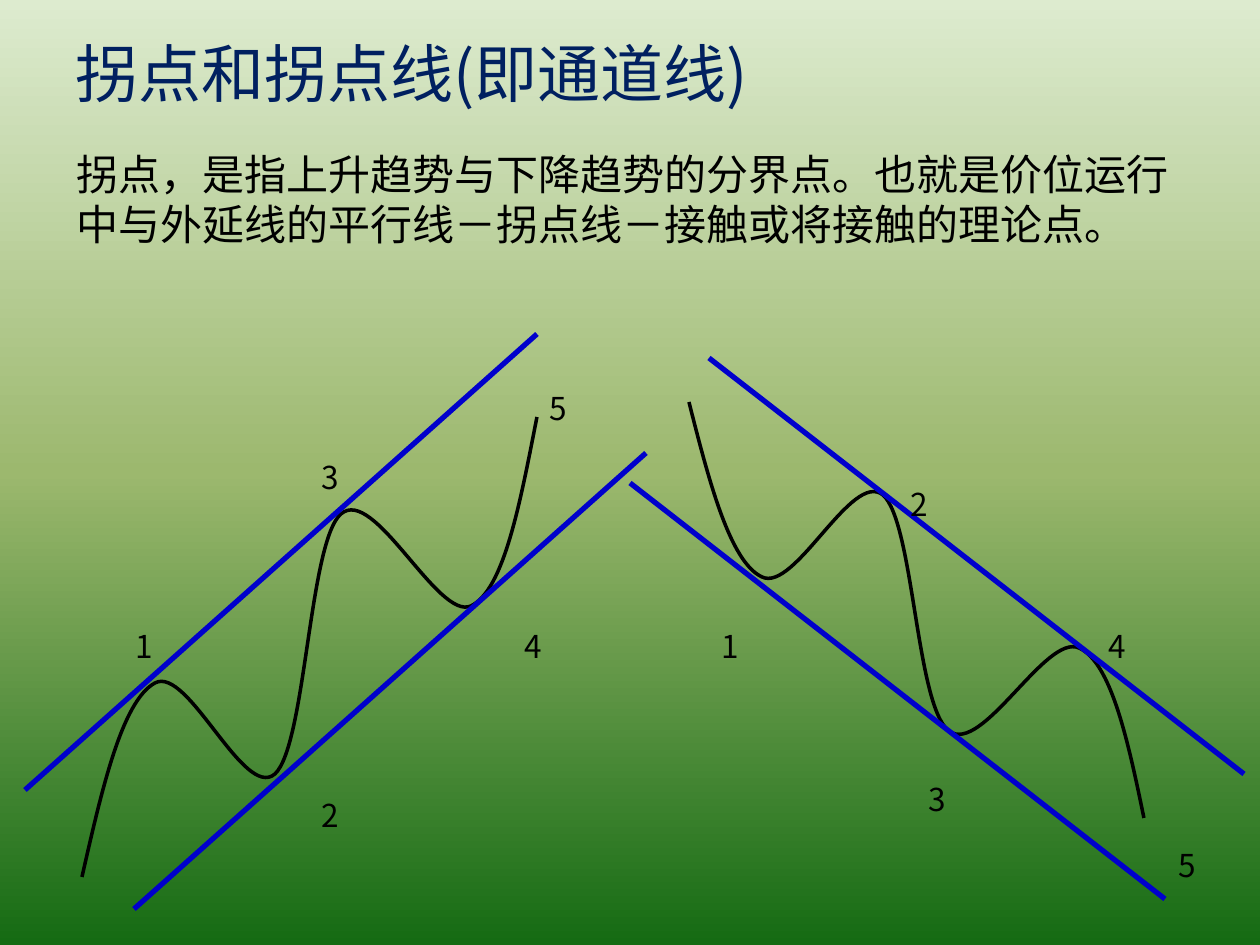
from copy import deepcopy

from lxml.etree import SubElement
from pptx import Presentation
from pptx.dml.color import RGBColor
from pptx.enum.shapes import MSO_CONNECTOR
from pptx.enum.text import MSO_ANCHOR, MSO_AUTO_SIZE
from pptx.oxml.ns import qn
from pptx.util import Pt

SCALE = 914400 / 126
FONT = "Noto Sans CJK SC"
BLACK, NAVY, BLUE = "000000", "002060", "0000CC"

# Waves are a start point, then three points for each Bezier segment.
RISING = {
    "wave": [(57, 543), (77, 455), (97, 367), (130, 349), (163, 331), (219, 467),
             (250, 440), (281, 411), (284, 208), (316, 180), (349, 151), (413, 287),
             (446, 272), (479, 256), (495, 170), (512, 83)],
    "line": [(0, 456), (512, 0)],
    "shift": (109, 119),
    "labels": [(98, 287), (284, 456), (284, 118), (487, 287), (512, 49)],
}
FALLING = {
    "wave": [(59, 44), (79, 123), (100, 204), (132, 219), (165, 235), (222, 112),
             (253, 137), (284, 164), (286, 348), (319, 373), (352, 398), (416, 275),
             (449, 290), (481, 304), (498, 382), (514, 460)],
    "line": [(79, 0), (614, 416)],
    "shift": (-79, 125),
    "labels": [(79, 263), (268, 121), (286, 416), (466, 263), (536, 482)],
}


def px(length):
    return round(length * SCALE)


def color(value):
    return RGBColor.from_string(value)


def paint_background(page, stops):
    fill = page.background.fill
    fill.gradient()
    fill.gradient_angle = 270
    stop_list = page.element.find(".//" + qn("a:gsLst"))
    while len(stop_list) < len(stops):
        stop_list.append(deepcopy(stop_list[-1]))
    for stop, (position, value) in zip(fill.gradient_stops, stops):
        stop.position = position
        stop.color.rgb = color(value)


def add_text(page, box, text, size, value=BLACK, **frame_format):
    frame = page.shapes.add_textbox(*map(px, box)).text_frame
    for name, setting in {"word_wrap": True, **frame_format}.items():
        setattr(frame, name, setting)
    span = frame.paragraphs[0].add_run()
    span.text = text
    for name, setting in {"size": Pt(size), "name": FONT}.items():
        setattr(span.font, name, setting)
    span.font.color.rgb = color(value)
    SubElement(span.font._element, qn("a:ea"), typeface=FONT)


def style_line(shape, value, width):
    shape.line.color.rgb = color(value)
    shape.line.width = Pt(width)


def add_wave(page, points):
    builder = page.shapes.build_freeform(*points[0], scale=SCALE)
    builder.add_line_segments(points[1:], close=False)
    wave = builder.convert_to_shape()
    wave.shadow.inherit = False
    wave.fill.background()
    style_line(wave, BLACK, 2)
    # Turn each three straight segments into one Bezier curve
    outline = wave._element.find(".//" + qn("a:path"))
    segments = outline.findall(qn("a:lnTo"))
    for first in range(0, len(segments), 3):
        curve = SubElement(outline, qn("a:cubicBezTo"))
        for segment in segments[first:first + 3]:
            curve.append(segment[0])
            outline.remove(segment)


def add_channel_line(page, start, end):
    line = page.shapes.add_connector(MSO_CONNECTOR.STRAIGHT, *map(px, start + end))
    style_line(line, BLUE, 3)
    SubElement(line._element.spPr, qn("a:effectLst"))


def add_trend(page, left, top, trend):
    def place(points, shift=(0, 0)):
        return [(left + x + shift[0], top + y + shift[1]) for x, y in points]

    add_wave(page, place(trend["wave"]))
    for shift in ((0, 0), trend["shift"]):
        add_channel_line(page, *place(trend["line"], shift))
    for number, (x, y) in enumerate(place(trend["labels"]), 1):
        add_text(page, (x, y, 41, 50), str(number), 18, word_wrap=False,
                 auto_size=MSO_AUTO_SIZE.SHAPE_TO_FIT_TEXT)


def main():
    deck = Presentation()
    deck.slide_width, deck.slide_height = px(1260), px(945)
    page = deck.slides.add_slide(deck.slide_layouts[6])
    paint_background(page, [(0, "DDEBCF"), (0.5, "9CB86E"), (1, "156B13")])

    # Title and definition
    add_text(page, (63, 38, 1134, 68), "拐点和拐点线(即通道线)", 36, NAVY,
             vertical_anchor=MSO_ANCHOR.MIDDLE)
    add_text(page, (64, 142, 1132, 115),
             "拐点，是指上升趋势与下降趋势的分界点。也就是价位运行中与外延线的平行线－拐点线－接触或将接触的理论点。",
             24, auto_size=MSO_AUTO_SIZE.SHAPE_TO_FIT_TEXT)

    # Rising and falling channels
    add_trend(page, 25, 334, RISING)
    add_trend(page, 630, 358, FALLING)

    deck.save("out.pptx")


if __name__ == "__main__":
    main()
